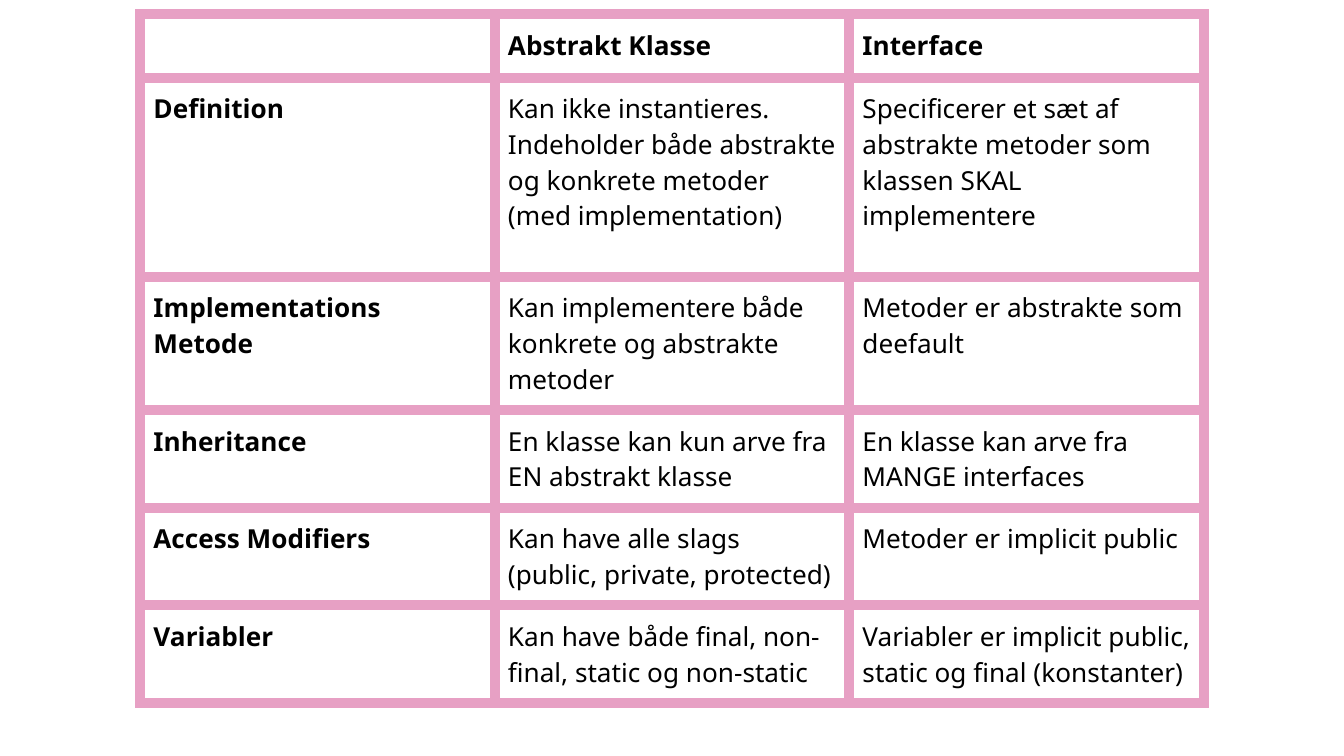
from dataclasses import dataclass

from lxml.etree import SubElement
from pptx import Presentation
from pptx.dml.color import RGBColor
from pptx.oxml.ns import qn
from pptx.util import Cm, Pt


@dataclass(frozen=True)
class Theme:
    font: str = "Noto Sans"
    text_size: int = 14
    text: str = "000000"
    background: str = "FFFFFF"
    border: str = "E7A0C4"
    border_width: int = 6


THEME = Theme()
BLANK_LAYOUT = 6
COLUMN_WIDTH = 6.7
ROW_HEIGHTS = (1.2, 3.76, 2.49, 1.83, 1.2, 1.2)
CELL_MARGIN = 0.25

COMPARISON = (
    ("", "Abstrakt Klasse", "Interface"),
    (
        "Definition",
        "Kan ikke instantieres. Indeholder både abstrakte og konkrete metoder (med implementation)",
        "Specificerer et sæt af abstrakte metoder som klassen SKAL implementere",
    ),
    (
        "Implementations Metode",
        "Kan implementere både konkrete og abstrakte metoder",
        "Metoder er abstrakte som deefault",
    ),
    (
        "Inheritance",
        "En klasse kan kun arve fra EN abstrakt klasse",
        "En klasse kan arve fra MANGE interfaces",
    ),
    (
        "Access Modifiers",
        "Kan have alle slags (public, private, protected)",
        "Metoder er implicit public",
    ),
    (
        "Variabler",
        "Kan have både final, non-final, static og non-static",
        "Variabler er implicit public, static og final (konstanter)",
    ),
)


def write_text(frame, text, *, size=THEME.text_size, color=THEME.text, bold=False):
    para = frame.paragraphs[0]
    para.font.size = Pt(size)
    if text:
        span = para.add_run()
        span.text = text
        span.font.name = THEME.font
        span.font.size = Pt(size)
        span.font.bold = bold
        span.font.color.rgb = RGBColor.from_string(color)


def add_borders(cell):
    properties = cell._tc.get_or_add_tcPr()
    for position, side in enumerate(("lnL", "lnR", "lnT", "lnB")):
        line = properties.makeelement(qn(f"a:{side}"), {"w": str(Pt(THEME.border_width))})
        fill = SubElement(line, qn("a:solidFill"))
        SubElement(fill, qn("a:srgbClr"), val=THEME.border)
        SubElement(line, qn("a:prstDash"), val="solid")
        # Border lines must come before the cell's fill.
        properties.insert(position, line)


def format_cell(cell, text, bold):
    cell.margin_left = cell.margin_right = Cm(CELL_MARGIN)
    cell.margin_top = cell.margin_bottom = Cm(CELL_MARGIN)
    cell.fill.background()
    add_borders(cell)
    write_text(cell.text_frame, text, bold=bold)


def add_comparison_table(page, rows, left, top):
    column_count = len(rows[0])
    table = page.shapes.add_table(
        len(rows), column_count, Cm(left), Cm(top),
        Cm(COLUMN_WIDTH * column_count), Cm(sum(ROW_HEIGHTS)),
    ).table
    table.first_row = table.horz_banding = False
    for column in table.columns:
        column.width = Cm(COLUMN_WIDTH)
    for row, height in zip(table.rows, ROW_HEIGHTS):
        row.height = Cm(height)
    for row_index, texts in enumerate(rows):
        for column_index, text in enumerate(texts):
            is_heading = row_index == 0 or column_index == 0
            format_cell(table.cell(row_index, column_index), text, is_heading)


def main():
    deck = Presentation()
    deck.slide_width, deck.slide_height = Cm(25.4), Cm(14.29)
    page = deck.slides.add_slide(deck.slide_layouts[BLANK_LAYOUT])
    page.background.fill.solid()
    page.background.fill.fore_color.rgb = RGBColor.from_string(THEME.background)
    add_comparison_table(page, COMPARISON, left=2.65, top=0.27)
    deck.save("out.pptx")


if __name__ == "__main__":
    main()
